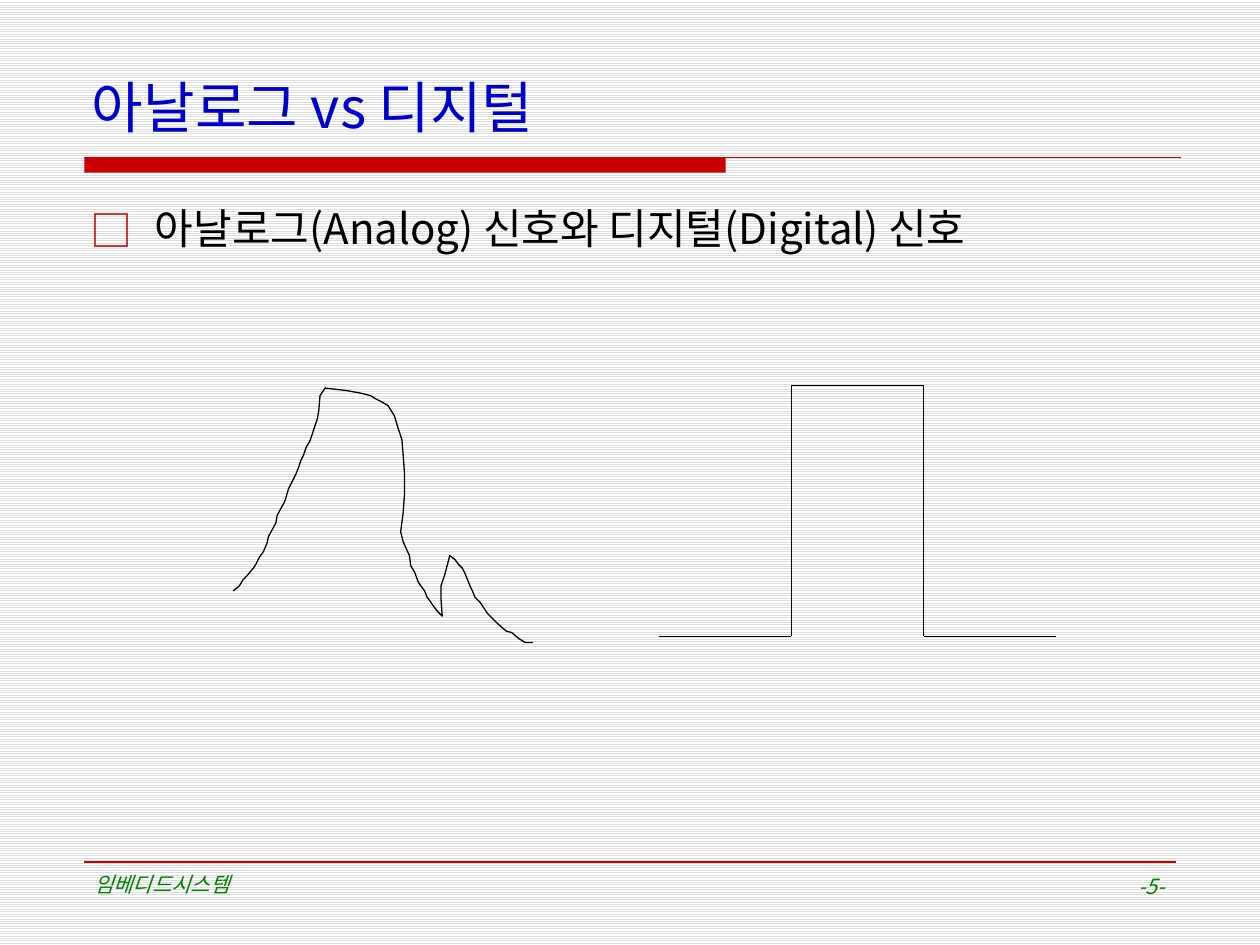
"""Build the slide that contrasts an analog curve with a digital pulse."""
from dataclasses import dataclass

from lxml.etree import SubElement
from pptx import Presentation
from pptx.dml.color import RGBColor as RGB
from pptx.enum.dml import MSO_PATTERN
from pptx.enum.shapes import MSO_CONNECTOR, MSO_SHAPE
from pptx.enum.text import MSO_ANCHOR, MSO_AUTO_SIZE, PP_ALIGN
from pptx.oxml.ns import qn
from pptx.util import Inches, Pt

TITLE = "아날로그 vs 디지털"
TOPIC = "아날로그(Analog) 신호와 디지털(Digital) 신호"
FOOTERS = [
    ("임베디드시스템", (0.65, 6.87, 5.73, 0.48), PP_ALIGN.LEFT),
    ("-5-", (7.17, 6.88, 2.17, 0.47), PP_ALIGN.RIGHT),
]
ANALOG_CURVE = [
    (1.85, 4.69), (1.9, 4.65), (1.93, 4.6), (1.96, 4.57), (2.01, 4.51),
    (2.03, 4.48), (2.06, 4.42), (2.09, 4.38), (2.12, 4.31), (2.13, 4.26),
    (2.19, 4.15), (2.2, 4.09), (2.26, 3.98), (2.29, 3.88), (2.32, 3.82),
    (2.35, 3.76), (2.37, 3.71), (2.39, 3.65), (2.41, 3.61), (2.43, 3.55),
    (2.46, 3.5), (2.48, 3.44), (2.5, 3.38), (2.52, 3.32), (2.53, 3.26),
    (2.54, 3.14), (2.58, 3.08), (2.75, 3.1), (2.86, 3.12), (2.94, 3.14),
    (2.99, 3.17), (3.03, 3.19), (3.08, 3.22), (3.13, 3.3), (3.16, 3.4),
    (3.19, 3.49), (3.2, 3.61), (3.21, 3.75), (3.21, 3.93), (3.2, 4.07),
    (3.18, 4.22), (3.2, 4.3), (3.25, 4.41), (3.26, 4.49), (3.29, 4.54),
    (3.32, 4.62), (3.34, 4.65), (3.37, 4.69), (3.39, 4.74), (3.42, 4.78),
    (3.44, 4.81), (3.47, 4.85), (3.51, 4.89), (3.5, 4.75), (3.5, 4.65),
    (3.53, 4.56), (3.57, 4.41), (3.61, 4.44), (3.64, 4.48), (3.67, 4.51),
    (3.69, 4.55), (3.71, 4.6), (3.73, 4.65), (3.75, 4.69), (3.77, 4.74),
    (3.81, 4.78), (3.87, 4.87), (3.95, 4.95), (4.02, 5.01), (4.06, 5.02),
    (4.12, 5.07), (4.17, 5.1), (4.23, 5.1),
]
PULSE_LEFT, PULSE_STEP = 5.23, 1.05
PULSE_LOW, PULSE_HIGH = 5.05, 3.06


@dataclass(frozen=True)
class Theme:
    font: str = "Noto Sans CJK KR"
    title: RGB = RGB(0x00, 0x00, 0xCC)
    accent: RGB = RGB(0xCC, 0x00, 0x00)
    ink: RGB = RGB(0x00, 0x00, 0x00)
    footer: RGB = RGB(0x00, 0x80, 0x00)
    stripe: RGB = RGB(0xDD, 0xDD, 0xDD)
    paper: RGB = RGB(0xFF, 0xFF, 0xFF)
    title_size: int = 32
    body_size: int = 24
    footer_size: int = 12
    rule: float = 1
    signal: float = 0.75


THEME = Theme()


def place(shape, box):
    shape.left, shape.top, shape.width, shape.height = map(Inches, box)


def write(shape, text, size, color, align=PP_ALIGN.LEFT, anchor=MSO_ANCHOR.TOP,
          italic=False, bullet=None):
    frame = shape.text_frame
    frame.word_wrap = True
    frame.auto_size = MSO_AUTO_SIZE.NONE
    frame.vertical_anchor = anchor
    frame.text = text
    paragraph = frame.paragraphs[0]
    paragraph.alignment = align
    paragraph.space_before = Pt(0)
    if bullet:
        add_bullet(paragraph, bullet)
    font = paragraph.font
    font.name, font.size, font.italic = THEME.font, Pt(size), italic
    font.color.rgb = color
    defaults = paragraph._p.pPr.find(qn("a:defRPr"))
    SubElement(defaults, qn("a:ea"), typeface=THEME.font)


def add_bullet(paragraph, mark, indent=0.51):
    props = paragraph._p.get_or_add_pPr()
    props.set("marL", str(Inches(indent)))
    props.set("indent", str(-Inches(indent)))
    color = SubElement(props, qn("a:buClr"))
    SubElement(color, qn("a:srgbClr"), val=str(THEME.accent))
    SubElement(props, qn("a:buFont"), typeface=THEME.font)
    SubElement(props, qn("a:buChar"), char=mark)


def add_line(shapes, start, end, color, width):
    line = shapes.add_connector(MSO_CONNECTOR.STRAIGHT, *map(Inches, start + end))
    line.line.color.rgb = color
    line.line.width = Pt(width)
    SubElement(line._element.spPr, qn("a:effectLst"))


def add_rules(shapes):
    bar = shapes.add_shape(MSO_SHAPE.RECTANGLE, *map(Inches, (0.67, 1.25, 5.09, 0.12)))
    bar.shadow.inherit = False
    bar.fill.solid()
    bar.fill.fore_color.rgb = THEME.accent
    bar.line.fill.background()
    for right, y in ((9.37, 1.25), (9.33, 6.84)):
        add_line(shapes, (0.67, y), (right, y), THEME.accent, THEME.rule)


def add_pulse(shapes):
    x = [PULSE_LEFT + step * PULSE_STEP for step in range(4)]
    corners = [(x[0], PULSE_LOW), (x[1], PULSE_LOW), (x[1], PULSE_HIGH),
               (x[2], PULSE_HIGH), (x[2], PULSE_LOW), (x[3], PULSE_LOW)]
    pulse = shapes.add_group_shape()
    for start, end in zip(corners, corners[1:]):
        add_line(pulse.shapes, start, end, THEME.ink, THEME.signal)


def add_curve(shapes):
    first, *rest = [(Inches(x), Inches(y)) for x, y in ANALOG_CURVE]
    builder = shapes.build_freeform(*first)
    builder.add_line_segments(rest, close=False)
    curve = builder.convert_to_shape()
    curve.shadow.inherit = False
    curve.fill.background()
    curve.line.color.rgb = THEME.ink
    curve.line.width = Pt(THEME.signal)


def main():
    deck = Presentation()
    deck.slide_width, deck.slide_height = Inches(10), Inches(7.5)
    slide = deck.slides.add_slide(deck.slide_layouts[1])
    shapes = slide.shapes

    backdrop = slide.background.fill
    backdrop.patterned()
    backdrop.pattern = MSO_PATTERN.LIGHT_HORIZONTAL
    backdrop.fore_color.rgb = THEME.stripe
    backdrop.back_color.rgb = THEME.paper

    add_rules(shapes)
    title, body = shapes.title, slide.placeholders[1]
    place(title, (0.63, 0.53, 8.75, 0.63))
    write(title, TITLE, THEME.title_size, THEME.title, anchor=MSO_ANCHOR.BOTTOM)
    place(body, (0.62, 1.56, 8.75, 5.26))
    write(body, TOPIC, THEME.body_size, THEME.ink, bullet="□")
    for text, box, align in FOOTERS:
        footer = shapes.add_textbox(*map(Inches, box))
        write(footer, text, THEME.footer_size, THEME.footer, align, italic=True)

    add_pulse(shapes)
    add_curve(shapes)
    deck.save("out.pptx")


if __name__ == "__main__":
    main()
